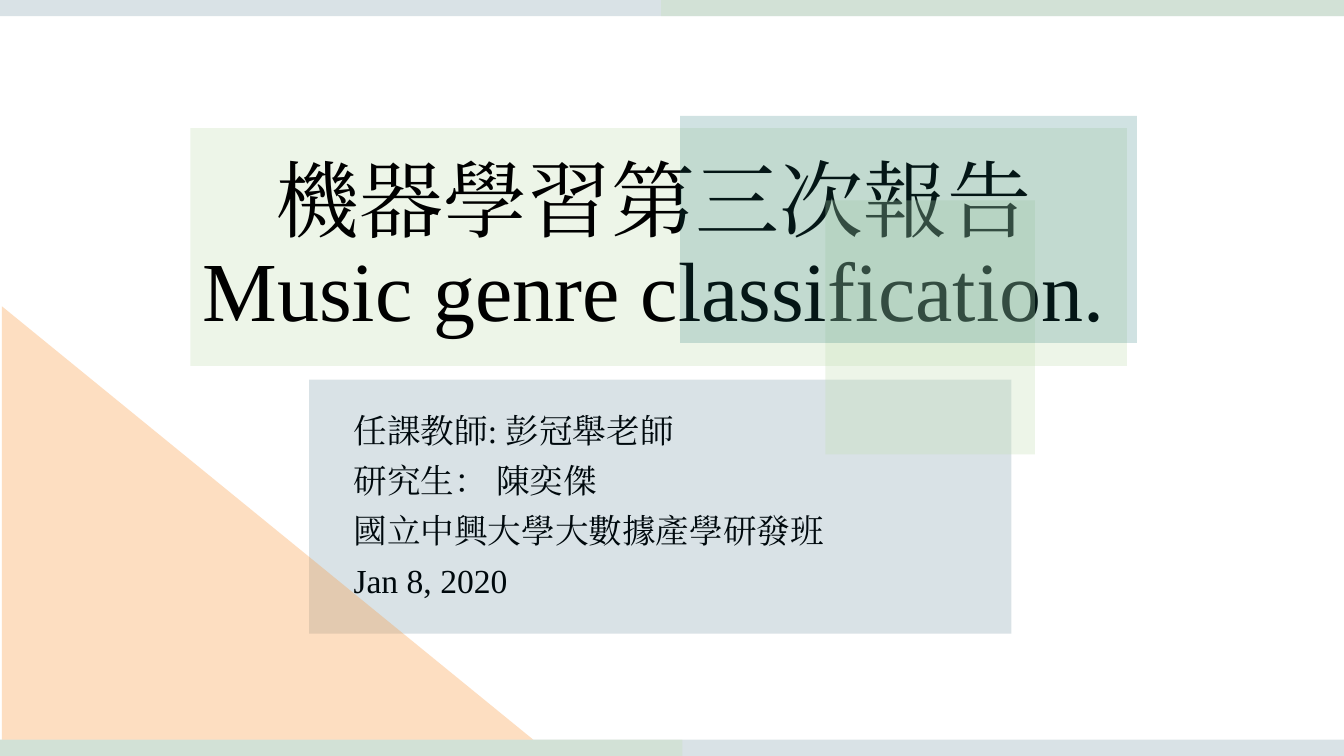
from lxml import etree
from pptx import Presentation
from pptx.dml.color import RGBColor
from pptx.enum.shapes import MSO_SHAPE as Preset
from pptx.enum.text import MSO_ANCHOR as Anchor, PP_ALIGN as Align
from pptx.oxml.ns import qn
from pptx.util import Cm, Pt

WIDTH, HEIGHT = 33.87, 19.05
BAND = 0.41
FONT = "Times New Roman"
BLACK = RGBColor(0x00, 0x00, 0x00)
NAVY = RGBColor(0x00, 0x3D, 0x59)
GREEN = RGBColor(0xC5, 0xE0, 0xB4)
TEAL = RGBColor(0x16, 0x70, 0x70)
ORANGE = RGBColor(0xFB, 0x93, 0x34)


def add_tint(slide, left, top, width, height, color, opacity, preset=Preset.RECTANGLE):
    """Add a borderless translucent shape; lengths in cm, opacity in percent."""
    tint = slide.shapes.add_shape(preset, Cm(left), Cm(top), Cm(width), Cm(height))
    tint.shadow.inherit = False
    tint.line.fill.background()
    tint.fill.solid()
    tint.fill.fore_color.rgb = color
    color_node = tint.fill._xPr.find(qn("a:solidFill"))[0]
    etree.SubElement(color_node, qn("a:alpha"), val=str(opacity * 1000))


def add_text(slide, paragraphs, left, top, width, height, *, size,
             align=Align.LEFT, anchor=Anchor.TOP, space_before=0):
    frame = slide.shapes.add_textbox(Cm(left), Cm(top), Cm(width), Cm(height)).text_frame
    frame.word_wrap = True
    frame.vertical_anchor = anchor
    for index, content in enumerate(paragraphs):
        paragraph = frame.add_paragraph() if index else frame.paragraphs[0]
        paragraph.text = content
        paragraph.alignment = align
        paragraph.line_spacing = 0.9
        paragraph.space_before = Pt(space_before)
        for run in paragraph.runs:
            run.font.size = Pt(size)
            run.font.name = FONT
            run.font.color.rgb = BLACK
            etree.SubElement(run.font._element, qn("a:ea"), typeface=FONT)


def add_band(slide, top, green_left, green_width):
    """Add a full-width navy band with a green part over it."""
    add_tint(slide, 0, top, WIDTH, BAND, NAVY, 15)
    add_tint(slide, green_left, top, green_width, BAND, GREEN, 30)


def main():
    deck = Presentation()
    deck.slide_width, deck.slide_height = Cm(WIDTH), Cm(HEIGHT)
    slide = deck.slides.add_slide(deck.slide_layouts[6])

    add_tint(slide, 4.8, 3.23, 23.6, 5.99, GREEN, 30)
    add_text(slide, ["機器學習第三次報告\vMusic genre classification."],
             3.78, 2.06, 25.4, 6.63, size=60, align=Align.CENTER, anchor=Anchor.BOTTOM)

    add_band(slide, 0, 16.66, WIDTH - 16.66)
    add_band(slide, HEIGHT - BAND, 0, 17.2)

    add_text(slide, ["任課教師: 彭冠舉老師", "研究生： 陳奕傑",
                     "國立中興大學大數據產學研發班", "Jan 8, 2020"],
             8.66, 10.31, 12.5, 5.08, size=24, space_before=10)

    add_tint(slide, 7.79, 9.57, 17.7, 6.4, NAVY, 15)
    add_tint(slide, 20.8, 5.05, 5.28, 6.4, GREEN, 30)
    add_tint(slide, 17.14, 2.92, 11.51, 5.72, TEAL, 20)
    add_tint(slide, 0.05, 7.72, 13.39, 10.92, ORANGE, 30, Preset.RIGHT_TRIANGLE)

    deck.save("out.pptx")


if __name__ == "__main__":
    main()
